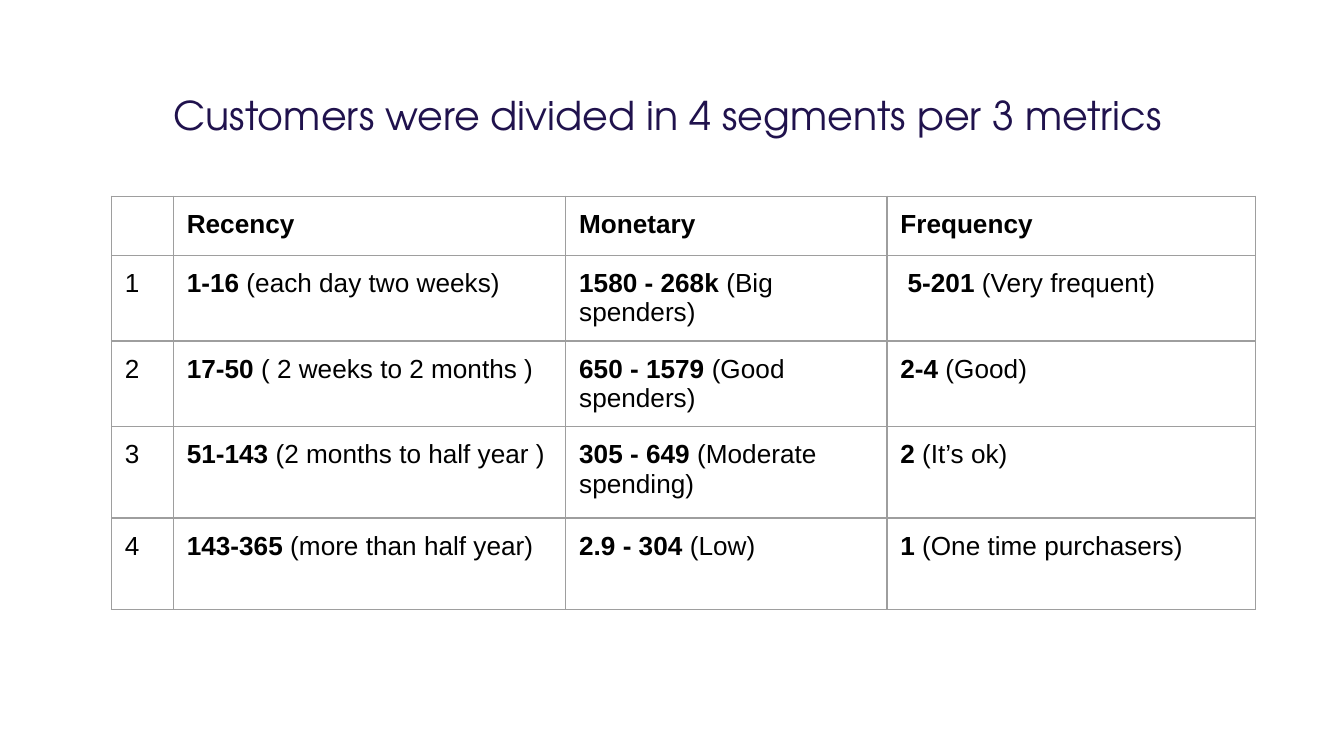
from lxml.etree import SubElement
from pptx import Presentation
from pptx.dml.color import RGBColor
from pptx.enum.text import MSO_ANCHOR, MSO_AUTO_SIZE, PP_ALIGN
from pptx.oxml.ns import qn
from pptx.util import Inches, Pt

COLORS = {"background": "FFFFFF", "title": "20124D", "text": "000000", "border": "9E9E9E"}
TITLE_FONT = {"name": "TeX Gyre Adventor", "size": Pt(21.2), "bold": False}
CELL_FONT = {"name": "Arial", "size": Pt(14)}
MARGINS = {f"margin_{side}": Inches(0.1) for side in ("left", "top", "right", "bottom")}

SLIDE_WIDTH = Inches(10)
SLIDE_HEIGHT = SLIDE_WIDTH * 9 // 16  # widescreen
COLUMN_WIDTHS = [0.46, 2.92, 2.39, 2.74]
ROW_HEIGHTS = [0.44, 0.44, 0.44, 0.68, 0.68]
METRICS = ["Recency", "Monetary", "Frequency"]
# Each metric is a bold range followed by its plain description
SEGMENTS = [
    [("1-16", " (each day two weeks)"), ("1580 - 268k", " (Big spenders)"),
     ("5-201", " (Very frequent)")],
    [("17-50", " ( 2 weeks to 2 months )"), ("650 - 1579 ", "(Good spenders)"),
     ("2-4", " (Good)")],
    [("51-143", " (2 months to half year )"), ("305 - 649", " (Moderate spending)"),
     ("2", " (It’s ok)")],
    [("143-365", " (more than half year)"), ("2.9 - 304", " (Low)"),
     ("1", " (One time purchasers)")],
]


def set_format(target, values):
    for name, value in values.items():
        setattr(target, name, value)


def add_run(paragraph, text, font, color):
    run = paragraph.add_run()
    run.text = text
    set_format(run.font, font)
    run.font.color.rgb = RGBColor.from_string(COLORS[color])


def add_borders(cell):
    properties = cell._tc.get_or_add_tcPr()
    for side in ("a:lnL", "a:lnR", "a:lnT", "a:lnB"):
        line = SubElement(properties, qn(side), w=str(Pt(0.75)))
        fill = SubElement(line, qn("a:solidFill"))
        SubElement(fill, qn("a:srgbClr"), val=COLORS["border"])


def fill_cell(cell, runs):
    set_format(cell, MARGINS)
    cell.vertical_anchor = MSO_ANCHOR.TOP
    add_borders(cell)
    cell.fill.background()
    paragraph = cell.text_frame.paragraphs[0]
    for text, bold in runs:
        add_run(paragraph, text, {**CELL_FONT, "bold": bold}, "text")
    if not runs:  # keep the empty corner from stretching its row
        SubElement(paragraph._p, qn("a:endParaRPr"), sz="1400")


def place_title(slide, left, top, width, height):
    title = slide.shapes.title
    set_format(title, {"left": left, "top": top, "width": width, "height": height})
    frame = title.text_frame
    set_format(frame, {**MARGINS, "word_wrap": True, "auto_size": MSO_AUTO_SIZE.NONE,
                       "vertical_anchor": MSO_ANCHOR.TOP})
    heading = frame.paragraphs[0]
    heading.alignment = PP_ALIGN.LEFT
    add_run(heading, " Customers were divided in 4 segments per 3 metrics", TITLE_FONT, "title")


def segment_rows():
    yield [[]] + [[(metric, True)] for metric in METRICS]
    for number, segment in enumerate(SEGMENTS, 1):
        cells = [[(bounds, True), (note, False)] for bounds, note in segment]
        if number == 1:
            cells[-1].insert(0, (" ", False))
        yield [[(str(number), False)]] + cells


def place_segments(slide, left, top, width, height):
    frame = slide.shapes.add_table(len(ROW_HEIGHTS), len(COLUMN_WIDTHS), left, top, width, height)
    table = frame.table
    set_format(table, {"first_row": False, "horz_banding": False})
    for column, column_width in zip(table.columns, COLUMN_WIDTHS):
        column.width = Inches(column_width)
    for row, row_height in zip(table.rows, ROW_HEIGHTS):
        row.height = Inches(row_height)
    frame.height = height
    for row, contents in zip(table.rows, segment_rows()):
        for cell, runs in zip(row.cells, contents):
            fill_cell(cell, runs)


def main():
    deck = Presentation()
    set_format(deck, {"slide_width": SLIDE_WIDTH, "slide_height": SLIDE_HEIGHT})
    slide = deck.slides.add_slide(deck.slide_layouts[5])
    background = slide.background.fill
    background.solid()
    background.fore_color.rgb = RGBColor.from_string(COLORS["background"])

    place_title(slide, Inches(1.11), Inches(0.58), Inches(8.23), Inches(0.63))
    place_segments(slide, Inches(0.83), Inches(1.46), Inches(8.51), Inches(3.12))
    deck.save("out.pptx")


if __name__ == "__main__":
    main()
